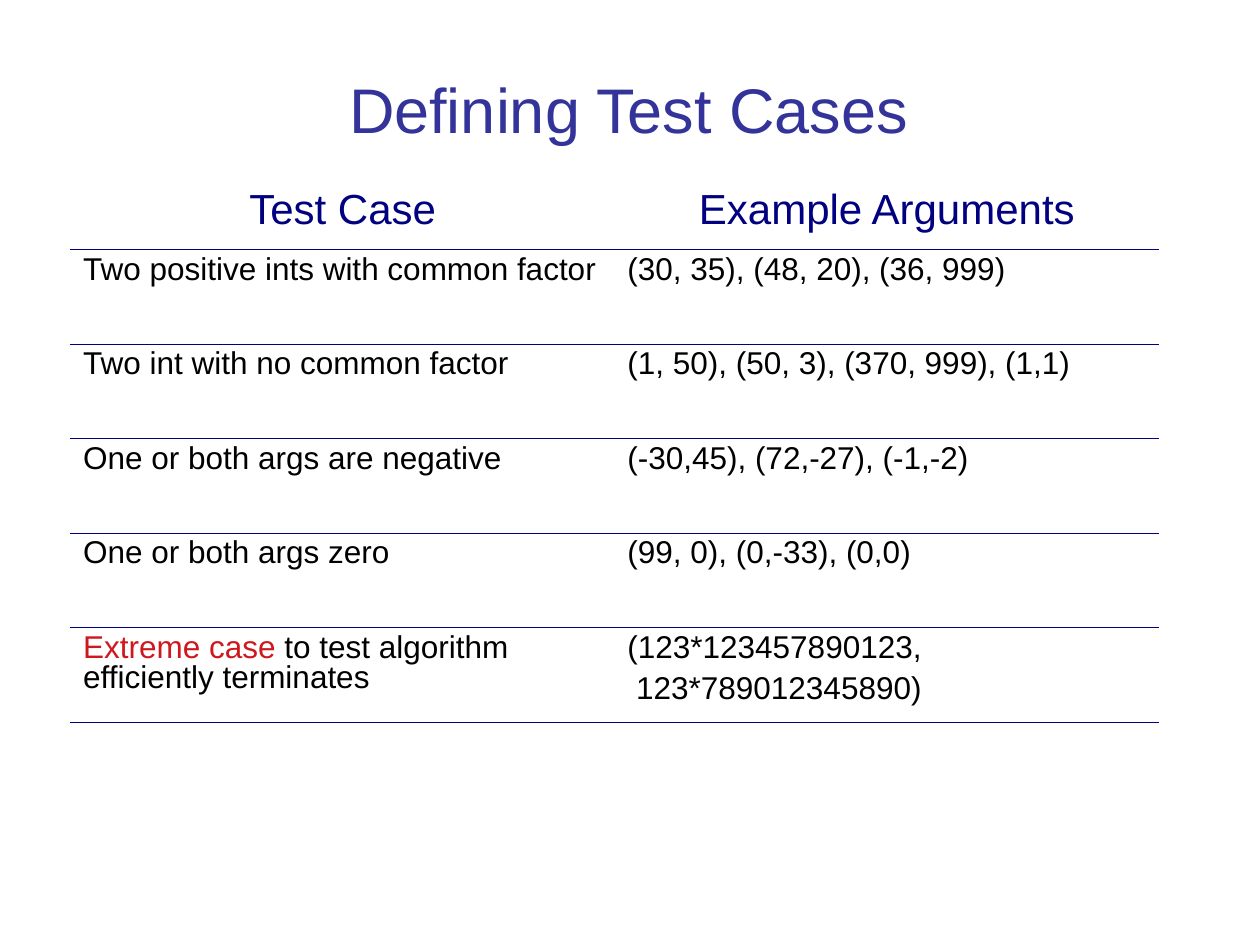
from dataclasses import dataclass

from lxml.etree import SubElement
from pptx import Presentation
from pptx.dml.color import RGBColor
from pptx.enum.text import MSO_ANCHOR, PP_ALIGN
from pptx.oxml.ns import qn
from pptx.util import Pt

COLORS = {
    "title": "333399",
    "navy": "000080",
    "black": "000000",
    "red": "CE181E",
    "white": "FFFFFF",
}
FRAME = {
    "margin_left": Pt(7.2),
    "margin_right": Pt(7.2),
    "margin_top": Pt(3.6),
    "margin_bottom": Pt(3.6),
}
LINE_SPACING = 0.87
SPACE_BEFORE = 5.8
LINE_WIDTH = 0.06
SPACE_WIDTH = 5
COL_WIDTH = 311
HEAD_HEIGHT, BODY_HEIGHT, LAST_HEIGHT = 36.7, 54, 46.8


@dataclass
class Span:
    text: str
    color: str = "black"
    size: float = 18


@dataclass
class Para:
    spans: list[Span]
    align: PP_ALIGN = PP_ALIGN.LEFT
    indent: float = 0


def set_all(obj, values: dict) -> None:
    for name, value in values.items():
        setattr(obj, name, value)


def head(text: str) -> list[Para]:
    return [Para([Span(text, "navy", 24)], PP_ALIGN.CENTER)]


def body(text: str) -> list[Para]:
    return [Para([Span(text)])]


def write(tf, paras: list[Para], spacing: float) -> None:
    for i, para in enumerate(paras):
        p = tf.add_paragraph() if i else tf.paragraphs[0]
        set_all(p, {
            "alignment": para.align,
            "line_spacing": spacing,
            "space_before": Pt(SPACE_BEFORE if i else 0),
        })
        if para.indent:
            p._p.get_or_add_pPr().set("marL", str(Pt(para.indent)))
        for span in para.spans:
            r = p.add_run()
            r.text = span.text
            set_all(r.font, {"name": "Arial", "size": Pt(span.size)})
            r.font.color.rgb = RGBColor.from_string(COLORS[span.color])


def set_borders(cell, borders: dict[str, str]) -> None:
    tcPr = cell._tc.get_or_add_tcPr()
    for i, (side, color) in enumerate(borders.items()):
        ln = SubElement(tcPr, qn(f"a:ln{side}"), w=str(Pt(LINE_WIDTH)))
        fill = SubElement(ln, qn("a:solidFill"))
        SubElement(fill, qn("a:srgbClr"), val=COLORS[color])
        tcPr.insert(i, ln)


def add_title(s, para: Para) -> None:
    tf = s.shapes.add_textbox(Pt(48.2), Pt(20.2), Pt(622), Pt(67)).text_frame
    set_all(tf, FRAME | {"word_wrap": True, "vertical_anchor": MSO_ANCHOR.BOTTOM})
    write(tf, [para], 1.0)


def add_cases(s, rows: list[list[list[Para]]]) -> None:
    heights = [HEAD_HEIGHT] + [BODY_HEIGHT] * (len(rows) - 2) + [LAST_HEIGHT]
    table = s.shapes.add_table(
        len(rows), 2, Pt(40.3), Pt(105.8), Pt(2 * COL_WIDTH), Pt(sum(heights))
    ).table
    set_all(table, {"first_row": False, "horz_banding": False})
    for col in table.columns:
        col.width = Pt(COL_WIDTH)
    last = len(rows) - 1
    for i, (row, height) in enumerate(zip(rows, heights)):
        table.rows[i].height = Pt(height)
        borders = {
            "L": "white",
            "R": "white",
            "T": "navy" if i else "white",
            "B": "navy" if i < last else "white",
        }
        for j, paras in enumerate(row):
            cell = table.cell(i, j)
            set_all(cell, FRAME)
            cell.fill.background()
            set_borders(cell, borders)
            write(cell.text_frame, paras, LINE_SPACING)


CASES = [
    ("Two positive ints with common factor", "(30, 35), (48, 20), (36, 999)"),
    ("Two int with no common factor", "(1, 50), (50, 3), (370, 999), (1,1)"),
    ("One or both args are negative", "(-30,45), (72,-27), (-1,-2)"),
    ("One or both args zero", "(99, 0), (0,-33), (0,0)"),
]
EXTREME = [
    [Para([Span("Extreme case", "red"),
           Span(" to test algorithm efficiently terminates")])],
    [Para([Span("(123*123457890123,")]),
     Para([Span("123*789012345890)")], indent=SPACE_WIDTH)],
]


def main() -> None:
    prs = Presentation()
    set_all(prs, {"slide_width": Pt(720), "slide_height": Pt(540)})
    s = prs.slides.add_slide(prs.slide_layouts[6])
    add_title(s, Para([Span("Defining Test Cases", "title", 36)], PP_ALIGN.CENTER))
    rows = [[head("Test Case"), head("Example Arguments")]]
    rows += [[body(text) for text in case] for case in CASES]
    rows += [EXTREME, [[], []]]
    add_cases(s, rows)
    prs.save("out.pptx")


if __name__ == "__main__":
    main()
